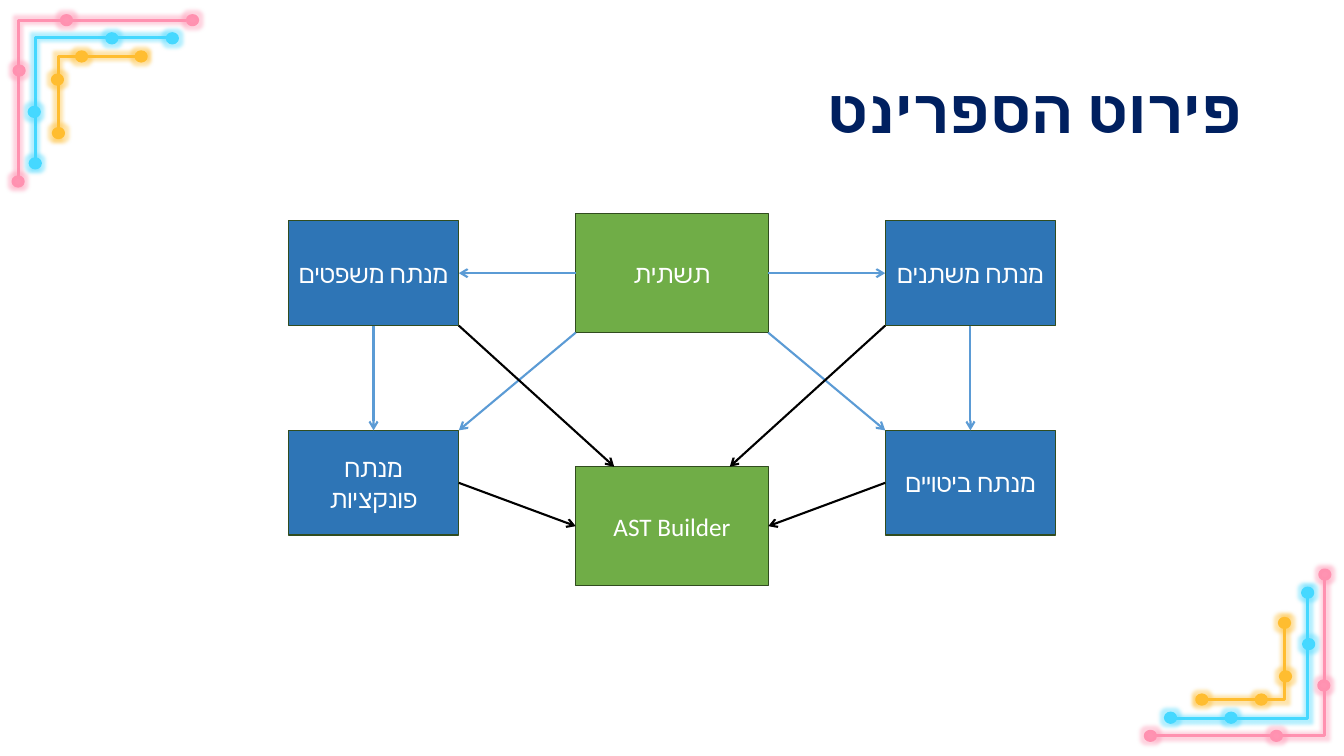
from lxml import etree
from pptx import Presentation
from pptx.dml.color import RGBColor
from pptx.enum.shapes import MSO_CONNECTOR, MSO_SHAPE
from pptx.enum.text import MSO_ANCHOR, PP_ALIGN
from pptx.oxml.ns import qn
from pptx.util import Inches, Pt

RECT, OVAL = MSO_SHAPE.RECTANGLE, MSO_SHAPE.OVAL
LINE = MSO_CONNECTOR.STRAIGHT
MIDDLE = MSO_ANCHOR.MIDDLE
CENTER, RIGHT = PP_ALIGN.CENTER, PP_ALIGN.RIGHT
GREEN, BLUE, EDGE = "70AD47", "2E75B6", "314C1F"
SKY, BLACK = "5B9BD5", "000000"
PINK, CYAN, GOLD = "FF91B0", "45D8FF", "FFBD30"


def paint(item, line, width, fill=None, glow=False):
    """Set line and fill, and replace the shadow by a glow or nothing."""
    item.line.color.rgb = RGBColor.from_string(line)
    item.line.width = Pt(width)
    if fill:
        item.fill.solid()
        item.fill.fore_color.rgb = RGBColor.from_string(fill)
    effects = etree.SubElement(item._element.spPr, qn("a:effectLst"))
    if glow:
        halo = etree.SubElement(effects, qn("a:glow"), rad=str(Inches(0.07)))
        color = etree.SubElement(halo, qn("a:srgbClr"), val=line)
        etree.SubElement(color, qn("a:alpha"), val="40000")


def write(frame, text, align, size, color, font, bold=False):
    """Write one right-to-left paragraph, centred vertically."""
    frame.word_wrap = True
    frame.vertical_anchor = MIDDLE
    para = frame.paragraphs[0]
    para.alignment = align
    para._p.get_or_add_pPr().set("rtl", "1")
    run = para.add_run()
    run.text = text
    looks = {"size": Pt(size), "name": font, "bold": bold}
    for key, value in looks.items():
        setattr(run.font, key, value)
    run.font.color.rgb = RGBColor.from_string(color)
    etree.SubElement(run._r.get_or_add_rPr(), qn("a:cs"), typeface=font)


deck = Presentation()
deck.slide_width, deck.slide_height = Inches(13.33), Inches(7.5)
slide = deck.slides.add_slide(deck.slide_layouts[5])
shapes = slide.shapes

# Corner trim: color, dot fill, bend x, bend y, right end, low end, dot centres
trims = [
    (CYAN, CYAN, 0.35, 0.37, 1.68, 1.66,
     [(0.35, 1.62), (1.71, 0.38), (0.34, 1.11), (1.11, 0.38)]),
    (PINK, "FF93B2", 0.18, 0.2, 1.85, 1.83,
     [(0.18, 1.8), (1.91, 0.2), (0.66, 0.2), (0.19, 0.7)]),
    (GOLD, GOLD, 0.58, 0.56, 1.45, 1.37,
     [(0.58, 1.32), (0.57, 0.79), (1.4, 0.56), (0.81, 0.56)]),
]
dot_w, dot_h = 0.1, 0.09

# The lower right corner is the upper left one turned by half a circle
for far_x, far_y, sign in [(0, 0, 1), (13.32, 7.5, -1)]:
    for color, fill, bend_x, bend_y, right, low, dots in trims:
        points = [(Inches(far_x + sign * x), Inches(far_y + sign * y))
                  for x, y in [(bend_x, low), (bend_x, bend_y), (right, bend_y)]]
        pen = shapes.build_freeform(*points[0])
        pen.add_line_segments(points[1:], close=False)
        trim = pen.convert_to_shape()
        trim.fill.background()
        paint(trim, color, 2.25, glow=True)
        for x, y in dots:
            dot = shapes.add_shape(
                OVAL, Inches(far_x + sign * x - dot_w / 2),
                Inches(far_y + sign * y - dot_h / 2), Inches(dot_w), Inches(dot_h))
            paint(dot, color, 2.25, fill, glow=True)

title = shapes.title
title.left, title.top = Inches(0.92), Inches(0.4)
title.width, title.height = Inches(11.5), Inches(1.45)
write(title.text_frame, "פירוט הספרינט", RIGHT, 44, "002060", "Cabin", True)
title.text_frame.paragraphs[0].line_spacing = 0.9

big, small = (1.91, 1.18, GREEN), (1.69, 1.04, BLUE)
nodes = [
    ("base", "תשתית", 5.71, 2.12, big),
    ("tree", "AST Builder", 5.71, 4.63, big),
    ("vars", "מנתח משתנים", 8.78, 2.19, small),
    ("funcs", "מנתח פונקציות", 2.86, 4.27, small),
    ("terms", "מנתח ביטויים", 8.78, 4.27, small),
    ("clauses", "מנתח משפטים", 2.86, 2.19, small),
]
boxes = {}
for key, text, x, y, (width, height, fill) in nodes:
    box = shapes.add_shape(RECT, Inches(x), Inches(y), Inches(width), Inches(height))
    paint(box, EDGE, 1, fill)
    write(box.text_frame, text, CENTER, 18, "FFFFFF", "Calibri")
    boxes[key] = box

# Each arrow end is a box and a spot, as shares of its width and height
sites = {(0.5, 0): 0, (0, 0.5): 1, (0.5, 1): 2, (1, 0.5): 3}
arrows = [
    (SKY, "base", (1, 0.5), "vars", (0, 0.5)),
    (SKY, "base", (0, 0.5), "clauses", (1, 0.5)),
    (SKY, "base", (0, 1), "funcs", (1, 0)),
    (SKY, "base", (1, 1), "terms", (0, 0)),
    (SKY, "vars", (0.5, 1), "terms", (0.5, 0)),
    (SKY, "clauses", (0.5, 1), "funcs", (0.5, 0)),
    (BLACK, "terms", (0, 0.5), "tree", (1, 0.5)),
    (BLACK, "vars", (0, 1), "tree", (0.8, 0)),
    (BLACK, "clauses", (1, 1), "tree", (0.2, 0)),
    (BLACK, "funcs", (1, 0.5), "tree", (0, 0.5)),
]
for color, start, out, end, into in arrows:
    ends = []
    for key, (across, down) in [(start, out), (end, into)]:
        box = boxes[key]
        ends += [int(box.left + across * box.width), int(box.top + down * box.height)]
    arrow = shapes.add_connector(LINE, *ends)
    if out in sites:
        arrow.begin_connect(boxes[start], sites[out])
    if into in sites:
        arrow.end_connect(boxes[end], sites[into])
    paint(arrow, color, 1.5)
    etree.SubElement(arrow.line._get_or_add_ln(), qn("a:tailEnd"), type="arrow")

deck.save("out.pptx")
